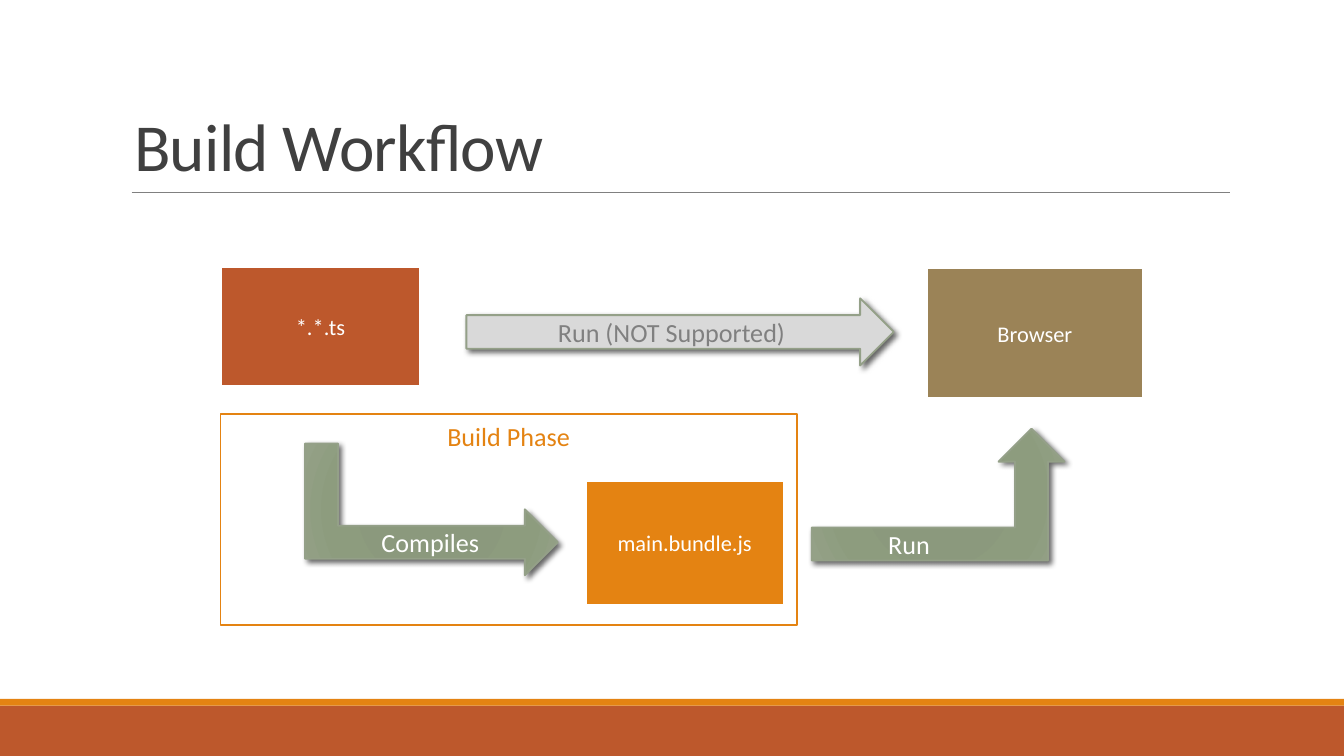
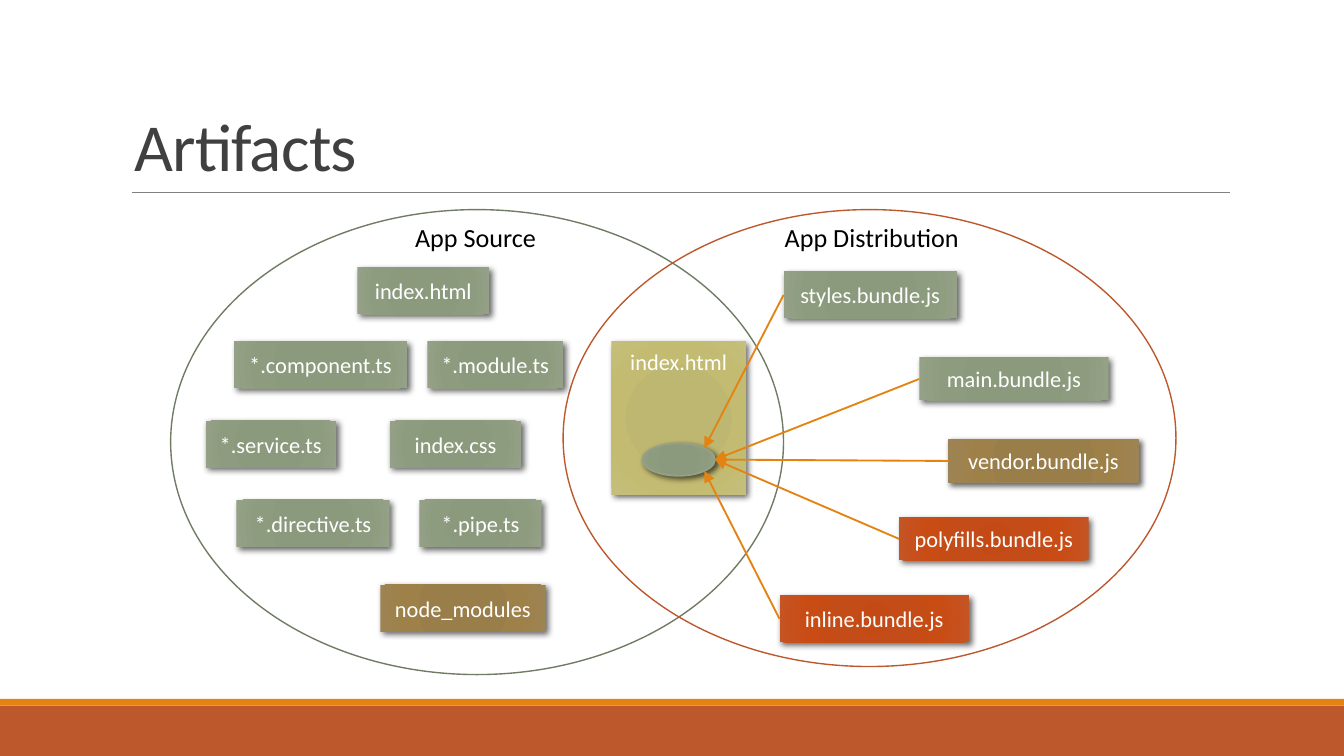
import math
from lxml import etree
from pptx import Presentation
from pptx.dml.color import RGBColor
from pptx.enum.shapes import MSO_CONNECTOR, MSO_SHAPE
from pptx.enum.text import MSO_ANCHOR, MSO_AUTO_SIZE, PP_ALIGN
from pptx.oxml.ns import qn
from pptx.util import Inches, Pt

RECTANGLE = MSO_SHAPE.RECTANGLE
ELLIPSE = MSO_SHAPE.OVAL
RIGHT_ARROW = MSO_SHAPE.RIGHT_ARROW
BENT_ARROW = MSO_SHAPE.BENT_UP_ARROW
STRAIGHT = MSO_CONNECTOR.STRAIGHT
TOP, MIDDLE, BOTTOM = MSO_ANCHOR.TOP, MSO_ANCHOR.MIDDLE, MSO_ANCHOR.BOTTOM
LEFT, CENTER = PP_ALIGN.LEFT, PP_ALIGN.CENTER
FIT_SHAPE = MSO_AUTO_SIZE.SHAPE_TO_FIT_TEXT

WHITE = RGBColor(0xFF, 0xFF, 0xFF)
BLACK = RGBColor(0x00, 0x00, 0x00)
CHARCOAL = RGBColor(0x40, 0x40, 0x40)
GRAY = RGBColor(0x80, 0x80, 0x80)
LIGHT_GRAY = RGBColor(0xD9, 0xD9, 0xD9)
RUST = RGBColor(0xBD, 0x58, 0x2C)
ORANGE = RGBColor(0xE4, 0x83, 0x12)
BROWN = RGBColor(0x9B, 0x83, 0x57)
SAGE = RGBColor(0x94, 0xA0, 0x88)
MOSS = RGBColor(0x6F, 0x7B, 0x63)


def shades(*codes):
    return [RGBColor.from_string(code) for code in codes]


SAGE_BLEND = shades("8A987B", "8B997D", "8D9C7E", "94A187")
RUST_BLEND = shades("C44A15", "C34C18", "C94C15", "C45525")
BROWN_BLEND = shades("9A7D48", "9A7E4A", "9E8049", "9E8454")
OLIVE_BLEND = shades("BEB76E", "BEB771", "C3BB71", "C5BF7D")
BLEND_STOPS = (0, 34, 70, 100)
SOFT_SHADOW, DEEP_SHADOW = 3, 3.5

COLUMNS, ROWS = 100, 56.25
CELL = Inches(0.1)


def cells(count):
    return round(count * CELL)


def add_child(parent, tag, attributes=()):
    return etree.SubElement(parent, qn(tag), dict(attributes))


def add_color(parent, color, alpha=None):
    node = add_child(parent, "a:srgbClr", {"val": str(color)})
    if alpha:
        add_child(node, "a:alpha", {"val": str(alpha * 1000)})


def set_values(target, values):
    for name, value in values.items():
        setattr(target, name, value)


class Deck:
    font = "Calibri"
    label_size, caption_size, title_size = 12, 14, 36

    def __init__(self):
        self.presentation = Presentation()
        set_values(self.presentation, {
            "slide_width": cells(COLUMNS), "slide_height": cells(ROWS)})
        self.slide = None

    def start_slide(self, title):
        self.slide = self.presentation.slides.add_slide(
            self.presentation.slide_layouts[6])
        self.shape(RECTANGLE, (0, 52.5, COLUMNS, ROWS - 52.5), RUST)
        self.shape(RECTANGLE, (0, 52, COLUMNS, 0.5), ORANGE)
        self.line((9.8, 14.3), (91.5, 14.3), GRAY, 0.5)
        box = self.slide.shapes.add_textbox(*map(cells, (9, 2.4, 82.5, 11.9)))
        run = self.add_text(box, title, self.title_size, CHARCOAL, LEFT, BOTTOM)
        box.text_frame.paragraphs[0].line_spacing = 0.85
        run.font._element.set("spc", "-40")

    def add_text(self, shape, text, size, color, alignment, anchor, wrap=True):
        set_values(shape.text_frame, {"word_wrap": wrap, "vertical_anchor": anchor})
        paragraph = shape.text_frame.paragraphs[0]
        paragraph.alignment = alignment
        run = paragraph.add_run()
        run.text = text
        set_values(run.font, {"name": self.font, "size": Pt(size)})
        run.font.color.rgb = color
        return run

    def paint(self, shape, fill):
        if isinstance(fill, RGBColor):
            shape.fill.solid()
            shape.fill.fore_color.rgb = fill
            return
        shape.fill.background()
        if fill:
            properties = shape._element.spPr
            gradient = etree.Element(qn("a:gradFill"), {"rotWithShape": "1"})
            stops = add_child(gradient, "a:gsLst")
            for position, color in zip(BLEND_STOPS, fill):
                add_color(add_child(stops, "a:gs", {"pos": str(position * 1000)}), color)
            circle = add_child(gradient, "a:path", {"path": "circle"})
            add_child(circle, "a:fillToRect", {side: "100000" for side in "ltrb"})
            properties.replace(properties.find(qn("a:noFill")), gradient)

    def shape(self, kind, place, fill=None, outline=None, width=1, shadow=None,
              rotation=0):
        shape = self.slide.shapes.add_shape(kind, *map(cells, place))
        shape.rotation = rotation
        self.paint(shape, fill)
        if outline:
            shape.line.color.rgb = outline
            shape.line.width = Pt(width)
        else:
            shape.line.fill.background()
        shape.shadow.inherit = False
        if shadow:
            effects = shape._element.spPr.find(qn("a:effectLst"))
            outer = add_child(effects, "a:outerShdw", {
                "blurRad": str(Pt(shadow)), "dist": str(Pt(2)),
                "dir": str(45 * 60000), "algn": "ctr", "rotWithShape": "0"})
            add_color(outer, BLACK, 60)
        return shape

    def block(self, text, place, fill):
        shape = self.shape(RECTANGLE, place, fill, WHITE, 2)
        self.add_text(shape, text, self.label_size, WHITE, CENTER, MIDDLE)

    def chip(self, text, place, blend=SAGE_BLEND, anchor=MIDDLE, outline=None):
        shadow = SOFT_SHADOW if outline else DEEP_SHADOW
        shape = self.shape(RECTANGLE, place, blend, outline, shadow=shadow)
        self.add_text(shape, text, self.label_size, WHITE, CENTER, anchor)

    def caption(self, text, place, color):
        box = self.slide.shapes.add_textbox(*map(cells, place))
        self.add_text(box, text, self.caption_size, color, LEFT, TOP, wrap=False)
        box.text_frame.auto_size = FIT_SHAPE

    def line(self, start, end, color, width, arrow=False):
        connector = self.slide.shapes.add_connector(
            STRAIGHT, *map(cells, (*start, *end)))
        connector.line.color.rgb = color
        connector.line.width = Pt(width)
        properties = connector._element.spPr
        if arrow:
            add_child(properties.find(qn("a:ln")), "a:tailEnd", {"type": "triangle"})
        add_child(properties, "a:effectLst")


def build_workflow(deck):
    deck.start_slide("Build Workflow")
    deck.block("Browser", (68.9, 19.9, 16.2, 9.8), BROWN)
    deck.block("*.*.ts", (16.4, 19.8, 14.9, 9), RUST)
    deck.block("main.bundle.js", (43.5, 35.7, 14.9, 9.4), ORANGE)
    unsupported = deck.shape(RIGHT_ARROW, (34.7, 22.2, 31.8, 5), LIGHT_GRAY, SAGE,
                             shadow=SOFT_SHADOW)
    deck.add_text(unsupported, "Run (NOT Supported)", deck.caption_size, GRAY,
                  CENTER, MIDDLE)
    for place, rotation in (((27.2, 28.5, 9.8, 18.8), 90),
                            ((60.4, 31.9, 18.8, 9.8), 0)):
        deck.shape(BENT_ARROW, place, SAGE_BLEND, SAGE, shadow=SOFT_SHADOW,
                   rotation=rotation)
    deck.caption("Compiles", (27.4, 38.7, 9.4, 3.4), WHITE)
    deck.caption("Run", (65.1, 38.8, 5.2, 3.4), WHITE)
    phase = deck.shape(RECTANGLE, (16.4, 30.8, 42.9, 15.7), None, ORANGE, 0.75)
    deck.add_text(phase, "Build Phase", deck.caption_size, ORANGE, CENTER, TOP)


def build_artifacts(deck):
    deck.start_slide("Artifacts")
    deck.chip("index.html", (45.5, 25.4, 10, 11.4), OLIVE_BLEND, TOP)

    bundles = (
        ("styles.bundle.js", (58.3, 20.2, 12.9, 3.5), SAGE_BLEND, None, -45),
        ("main.bundle.js", (68.4, 26.6, 14.1, 3.2), SAGE_BLEND, None, 0),
        ("vendor.bundle.js", (70.6, 32.7, 14.1, 3.2), BROWN_BLEND, BROWN, 0),
        ("polyfills.bundle.js", (66.9, 38.5, 14.1, 3.2), RUST_BLEND, None, 0),
        ("inline.bundle.js", (58, 44.3, 14.1, 3.5), RUST_BLEND, None, 45),
    )
    for text, place, blend, outline, angle in bundles:
        deck.chip(text, place, blend, outline=outline)

    deck.shape(ELLIPSE, (12.7, 15.6, 45.6, 34.6), None, MOSS, 0.75)
    deck.shape(ELLIPSE, (41.9, 15.6, 45.6, 34), None, RUST, 0.75)

    sources = (
        ("index.html", 26.6, 19.9, 9.8),
        ("*.component.ts", 17.4, 25.4, 12.9),
        ("*.module.ts", 31.8, 25.4, 10.1),
        ("*.service.ts", 15.3, 31.3, 9.7),
        ("index.css", 29, 31.3, 9.8),
        ("*.directive.ts", 17.6, 37.2, 11.4),
        ("*.pipe.ts", 31.2, 37.2, 9.1),
    )
    for text, left, top, width in sources:
        deck.chip(text, (left, top, width, 3.5))
    deck.chip("node_modules", (28.3, 43.5, 12.3, 3.5), BROWN_BLEND)

    left, top, width, height = hub = (47.8, 33, 5.4, 2.4)
    deck.shape(ELLIPSE, hub, SAGE_BLEND, SAGE, shadow=SOFT_SHADOW)
    for text, place, blend, outline, angle in bundles:
        turn = math.radians(angle)
        end = (left + width / 2 * (1 + math.cos(turn)),
               top + height / 2 * (1 + math.sin(turn)))
        deck.line((place[0], place[1] + place[3] / 2), end, ORANGE, 1, arrow=True)

    deck.caption("App Source", (29.9, 16, 11.1, 3.4), BLACK)
    deck.caption("App Distribution", (57.4, 16, 15.1, 3.4), BLACK)


deck = Deck()
build_workflow(deck)
build_artifacts(deck)
deck.presentation.save("out.pptx")
